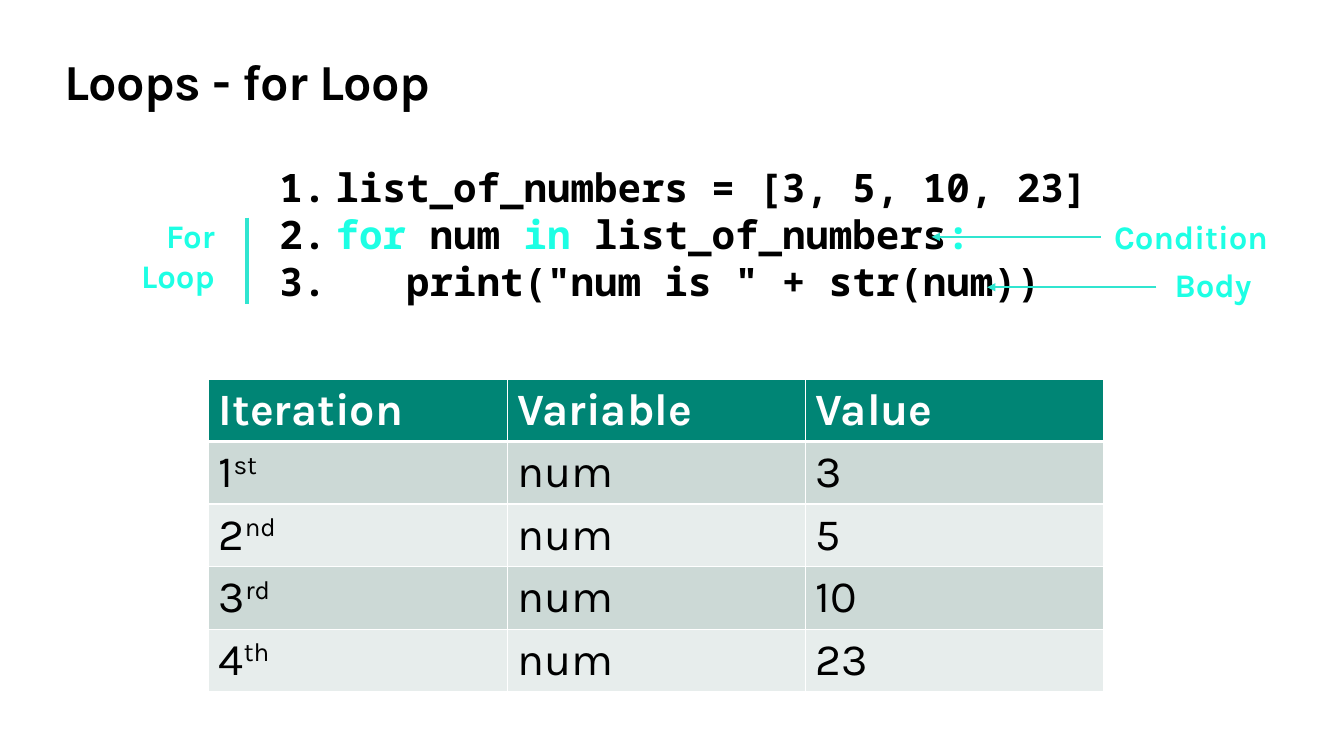
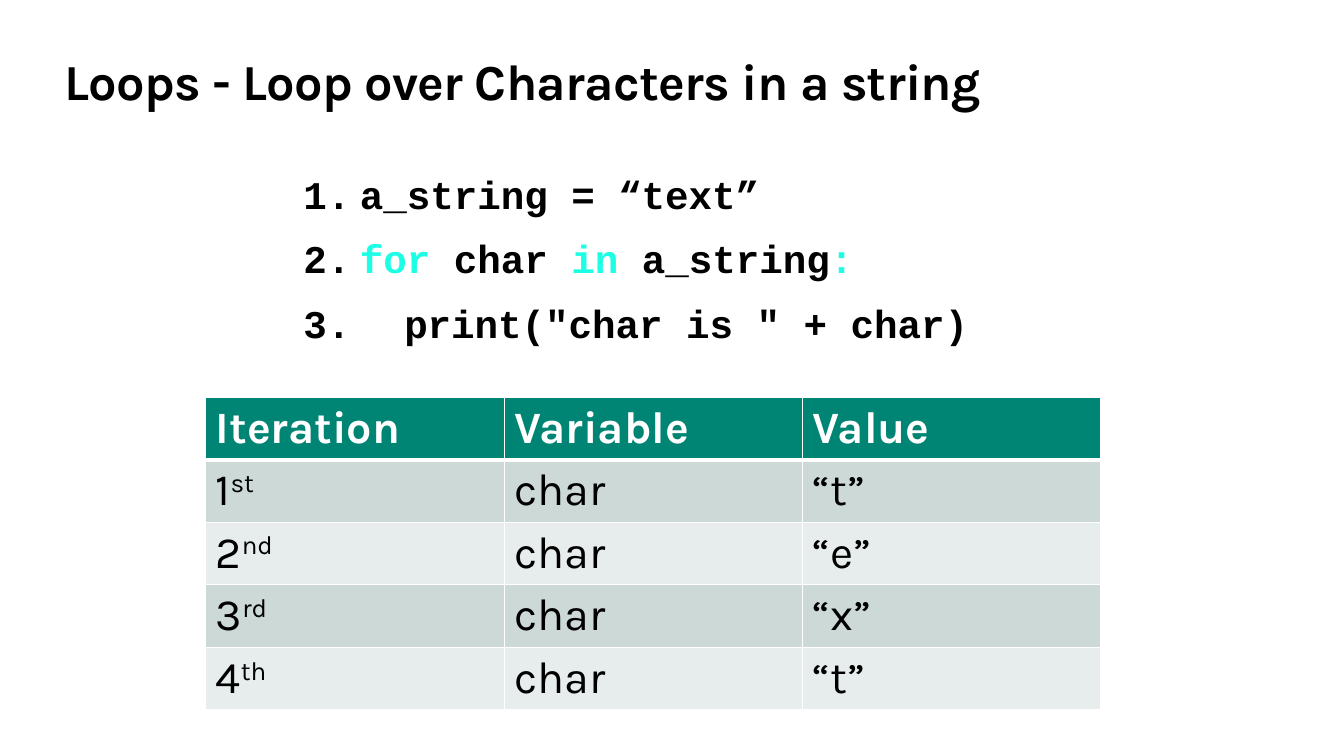
from lxml.etree import SubElement
from pptx import Presentation
from pptx.dml.color import RGBColor
from pptx.enum.shapes import MSO_CONNECTOR as CONNECTOR
from pptx.enum.text import MSO_ANCHOR as ANCHOR, MSO_AUTO_SIZE as AUTO, PP_ALIGN as ALIGN
from pptx.oxml.ns import qn
from pptx.util import Inches, Pt

BLACK, WHITE, CYAN, LINE = "000000", "FFFFFF", "1DFFE4", "30E5D0"
HEADER, BANDS = "008575", ("CCD9D6", "E7EDEC")
FONT = "Karla"
HEADINGS = ("Iteration", "Variable", "Value")
ORDINALS = ("st", "nd", "rd", "th")


def rgb(value):
    """Turn a hex string into a colour."""
    return RGBColor.from_string(value)


def sub(parent, tag, **attrs):
    """Append a DrawingML element to parent."""
    return SubElement(parent, qn(f"a:{tag}"), attrs)


def write(p, text, size, color=BLACK, font=FONT, bold=True, spacing=None, raised=False):
    """Add a formatted run to a paragraph."""
    r = p.add_run()
    r.text = text
    r.font.size, r.font.name, r.font.bold = Pt(size), font, bold
    r.font.color.rgb = rgb(color)
    rpr = r._r.get_or_add_rPr()
    if spacing is not None:
        rpr.set("spc", str(int(spacing * 100)))
    if raised:
        rpr.set("baseline", "30000")


def set_frame(tf, inset):
    """Wrap a text frame and give it equal insets."""
    tf.word_wrap, tf.auto_size, tf.vertical_anchor = True, AUTO.NONE, ANCHOR.TOP
    tf.margin_left = tf.margin_top = tf.margin_right = tf.margin_bottom = Inches(inset)


def add_slide(prs, title):
    """Add a title-only slide and format its title."""
    s = prs.slides.add_slide(prs.slide_layouts[5])
    sp = s.shapes.title
    sp.left, sp.top, sp.width, sp.height = map(Inches, (0.64, 0.5, 12.05, 0.61))
    set_frame(sp.text_frame, 0)
    p = sp.text_frame.paragraphs[0]
    p.alignment = ALIGN.LEFT
    write(p, title, 36, spacing=-0.5)
    return s


def add_paragraphs(s, left, top, width, height, count):
    """Add a text box and return its paragraphs."""
    tf = s.shapes.add_textbox(*map(Inches, (left, top, width, height))).text_frame
    set_frame(tf, 0.13)
    for _ in range(count - 1):
        tf.add_paragraph()
    return tf.paragraphs


def add_code(s, left, height, lines, font, line_spacing=1.0, gap=0):
    """Add numbered code lines made of (text, colour) pieces."""
    paragraphs = add_paragraphs(s, left, 1.49, 12.05, height, len(lines))
    for i, (p, line) in enumerate(zip(paragraphs, lines)):
        p.line_spacing = line_spacing
        if i:
            p.space_before = Pt(gap)
        ppr = p._p.get_or_add_pPr()
        ppr.set("marL", str(Inches(2.56)))
        ppr.set("indent", str(Inches(-0.56)))
        sub(sub(ppr, "buClr"), "srgbClr", val=BLACK)
        sub(ppr, "buAutoNum", type="arabicPeriod")
        for text, color in line:
            write(p, text, 28, color, font)


def add_label(s, left, top, width, lines, align=ALIGN.LEFT):
    """Add a cyan label of one or more lines."""
    for p, text in zip(add_paragraphs(s, left, top, width, 0.49, len(lines)), lines):
        p.alignment = align
        write(p, text, 23.5, CYAN)


def add_line(s, start, end, width, arrow=False):
    """Add a straight line, with an arrowhead at its end if asked."""
    sp = s.shapes.add_connector(CONNECTOR.STRAIGHT, *map(Inches, start + end))
    sp.line.color.rgb, sp.line.width = rgb(LINE), Pt(width)
    if arrow:
        sub(sp.line._get_or_add_ln(), "tailEnd", type="triangle")
    sub(sp._element.spPr, "effectLst")


def format_cell(cell, fill, bottom):
    """Give a cell white borders and a fill."""
    tcpr = cell._tc.get_or_add_tcPr()
    for side, width in (("L", 1), ("R", 1), ("T", 1), ("B", bottom)):
        ln = sub(tcpr, f"ln{side}", w=str(Pt(width)))
        sub(sub(ln, "solidFill"), "srgbClr", val=WHITE)
    cell.fill.solid()
    cell.fill.fore_color.rgb = rgb(fill)


def add_iterations(s, left, top, variable, values):
    """Add the table of the variable's value in each iteration."""
    rows = len(values) + 1
    table = s.shapes.add_table(rows, 3, *map(Inches, (left, top, 8.88, 0.62 * rows))).table
    table.horz_banding = False
    for c, heading in enumerate(HEADINGS):
        cell = table.cell(0, c)
        format_cell(cell, HEADER, 3)
        write(cell.text_frame.paragraphs[0], heading, 32, WHITE)
    for i, (ordinal, value) in enumerate(zip(ORDINALS, values)):
        for c, text in enumerate((str(i + 1), variable, value)):
            cell = table.cell(i + 1, c)
            format_cell(cell, BANDS[i % 2], 1)
            p = cell.text_frame.paragraphs[0]
            write(p, text, 32, bold=False)
            if c == 0:
                write(p, ordinal, 32, bold=False, raised=True)


def for_line(variable, sequence):
    """Return the pieces of a for statement with its keywords in cyan."""
    return [("for", CYAN), (f" {variable} ", BLACK), ("in", CYAN),
            (f" {sequence}", BLACK), (":", CYAN)]


def build_for_loop(prs):
    """Build the slide on looping over a list."""
    s = add_slide(prs, "Loops - for Loop")
    add_code(s, 0.64, 1.69, [
        [("list_of_numbers = [3, 5, 10, 23]", BLACK)],
        for_line("num", "list_of_numbers"),
        [('   print("num is " + str(num))', BLACK)],
    ], "Noto Sans Mono")
    add_label(s, 11.52, 2.5, 1.81, ["Body"])
    add_line(s, (11.47, 2.85), (9.79, 2.85), 1.5, arrow=True)
    add_line(s, (2.45, 2.16), (2.45, 3.02), 3)
    add_label(s, 1.21, 2.01, 1.05, ["For", "Loop"], ALIGN.RIGHT)
    add_label(s, 10.92, 2.02, 2.41, ["Condition"])
    add_line(s, (10.92, 2.35), (9.24, 2.35), 1.5, arrow=True)
    add_iterations(s, 2.07, 3.76, "num", ("3", "5", "10", "23"))


def build_string_loop(prs):
    """Build the slide on looping over a string."""
    s = add_slide(prs, "Loops - Loop over Characters in a string")
    add_code(s, 0.88, 2.06, [
        [("a_string = “text”", BLACK)],
        for_line("char", "a_string"),
        [('\tprint("char is " + char)', BLACK)],
    ], "Courier New", line_spacing=1.15, gap=7.4)
    add_iterations(s, 2.04, 3.94, "char", ("“t”", "“e”", "“x”", "“t”"))


def main():
    """Build and save the presentation."""
    prs = Presentation()
    prs.slide_width, prs.slide_height = Inches(13.33), Inches(7.5)
    build_for_loop(prs)
    build_string_loop(prs)
    prs.save("out.pptx")


if __name__ == "__main__":
    main()
